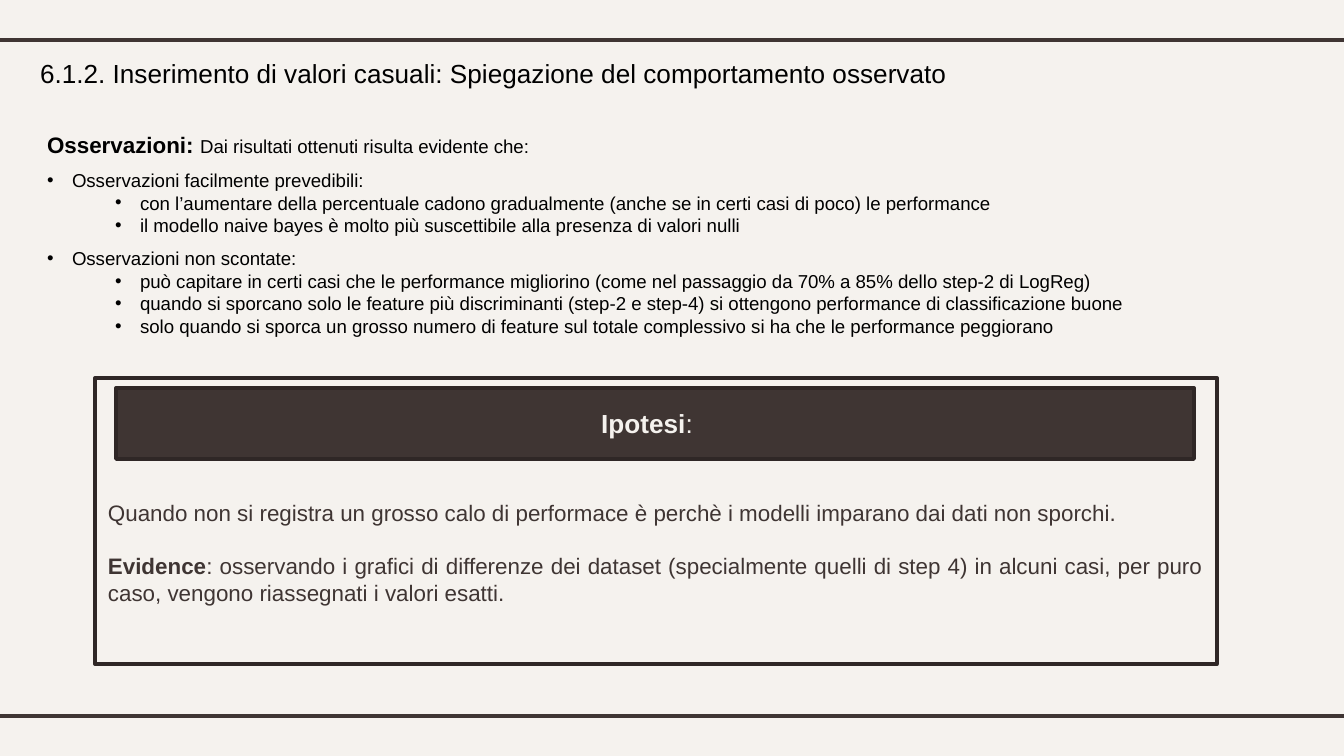
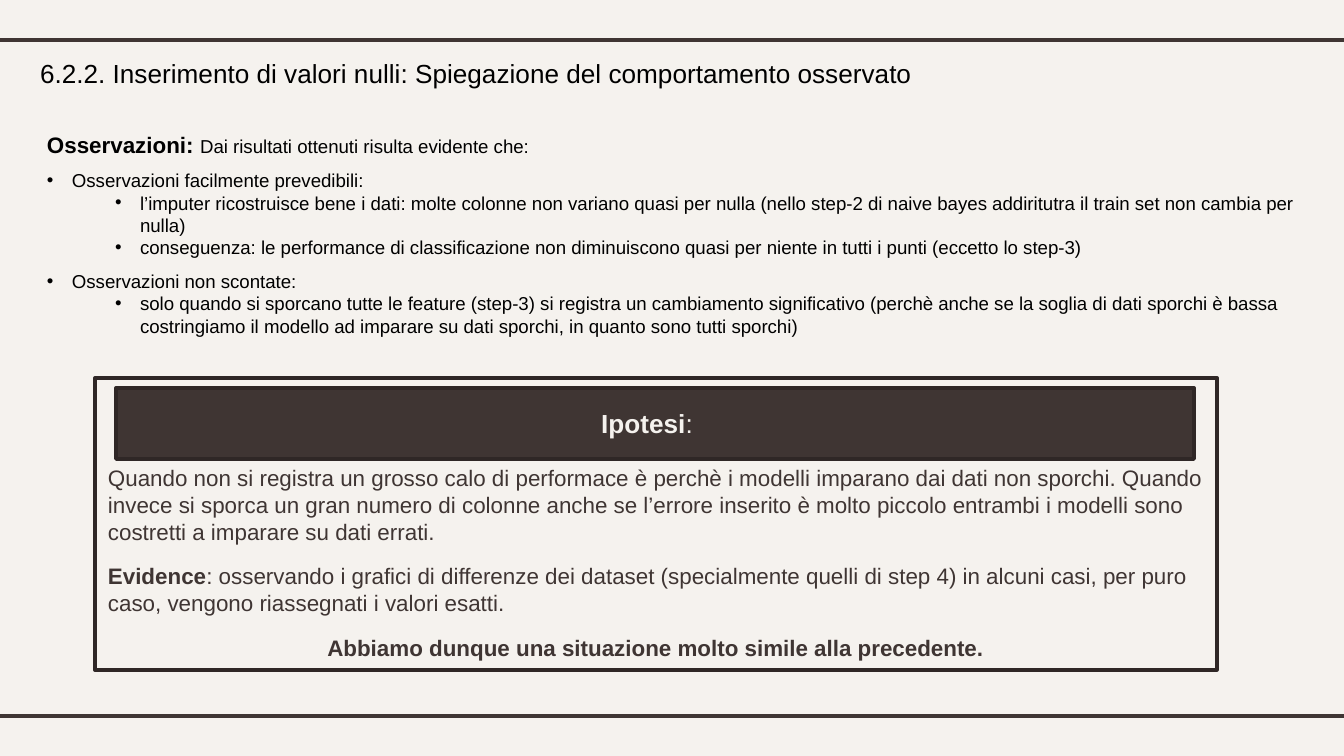
from dataclasses import dataclass

from lxml import etree
from pptx import Presentation
from pptx import util as u
from pptx.dml.color import RGBColor
from pptx.enum import shapes, text
from pptx.oxml import ns

PX_PER_INCH = 134.4
WIDTH, HEIGHT = 1344, 756
TITLE_ONLY = 5
ALIGN = text.PP_ALIGN
ANCHOR = text.MSO_ANCHOR


def px(length):
    return u.Emu(round(length * 914400 / PX_PER_INCH))


@dataclass(frozen=True)
class Theme:
    font: str = "Arial"
    paper: str = "F5F2EE"
    brown: str = "3F3533"
    border: str = "2F2726"
    ink: str = "000000"
    heading: int = 14
    body: int = 12
    small: int = 10
    leading: float = 1.2
    rule_width: float = 2.25
    border_width: float = 2


THEME = Theme()
INSET_X, INSET_Y = 13, 7
RULES = (40, 716)
FRAME_LEFT, FRAME_TOP, FRAME_WIDTH = 95, 378, 1122
BAND = (116, 388, 1078, 71)
BULLET_HANG = 25
BULLET_MARGINS = (25, 93)


def write(paragraph, content, *, lead="", lead_size=None, size=THEME.body, color=THEME.ink,
          bold=False, align=ALIGN.LEFT, before=0):
    """Fill a paragraph with an optional bold lead followed by the content."""
    lead_size = lead_size or size
    paragraph.alignment = align
    paragraph.space_before = u.Pt(before)
    paragraph.line_spacing = u.Pt(max(size, lead_size if lead else 0) * THEME.leading)
    for words, points, heavy in ((lead, lead_size, True), (content, size, bold)):
        if words:
            run = paragraph.add_run()
            run.text = words
            run.font.name = THEME.font
            run.font.size = u.Pt(points)
            run.font.bold = heavy
            run.font.color.rgb = RGBColor.from_string(color)


def add_bullet(paragraph, level):
    paragraph.level = level
    properties = paragraph._p.get_or_add_pPr()
    properties.set("marL", str(px(BULLET_MARGINS[level])))
    properties.set("indent", str(-px(BULLET_HANG)))
    etree.SubElement(properties, ns.qn("a:buFont")).set("typeface", THEME.font)
    etree.SubElement(properties, ns.qn("a:buChar")).set("char", "•")


def next_paragraph(frame, first):
    return frame.paragraphs[0] if first else frame.add_paragraph()


class Deck:
    def __init__(self, theme):
        self.theme = theme
        self.presentation = Presentation()
        self.presentation.slide_width = px(WIDTH)
        self.presentation.slide_height = px(HEIGHT)
        fill = self.presentation.slide_master.background.fill
        fill.solid()
        fill.fore_color.rgb = RGBColor.from_string(theme.paper)
        self.slide = None

    def start_slide(self, title, title_width):
        layout = self.presentation.slide_layouts[TITLE_ONLY]
        self.slide = self.presentation.slides.add_slide(layout)
        for y in RULES:
            self.rule(y)
        shape = self.slide.shapes.title
        shape.left, shape.top, shape.width, shape.height = map(px, (27, 50, title_width, 46))
        frame = self.prepare(shape, anchor=ANCHOR.MIDDLE)
        write(frame.paragraphs[0], title, size=self.theme.heading)

    def prepare(self, shape, *, anchor=ANCHOR.TOP, top=INSET_Y, right=INSET_X):
        frame = shape.text_frame
        frame.word_wrap = True
        frame.auto_size = text.MSO_AUTO_SIZE.NONE
        frame.vertical_anchor = anchor
        frame.margin_left, frame.margin_right = px(INSET_X), px(right)
        frame.margin_top, frame.margin_bottom = px(top), px(INSET_Y)
        return frame

    def rule(self, y):
        line = self.slide.shapes.add_connector(
            shapes.MSO_CONNECTOR.STRAIGHT, 0, px(y), px(WIDTH), px(y))
        line.line.color.rgb = RGBColor.from_string(self.theme.brown)
        line.line.width = u.Pt(self.theme.rule_width)
        etree.SubElement(line._element.spPr, ns.qn("a:effectLst"))

    def rectangle(self, box, fill=None):
        shape = self.slide.shapes.add_shape(shapes.MSO_SHAPE.RECTANGLE, *map(px, box))
        shape.shadow.inherit = False
        if fill:
            shape.fill.solid()
            shape.fill.fore_color.rgb = RGBColor.from_string(fill)
        else:
            shape.fill.background()
        shape.line.color.rgb = RGBColor.from_string(self.theme.border)
        shape.line.width = u.Pt(self.theme.border_width)
        return shape

    def observations(self, groups, width):
        box = self.slide.shapes.add_textbox(*map(px, (34, 124, width, 245)))
        frame = self.prepare(box)
        write(frame.paragraphs[0], "Dai risultati ottenuti risulta evidente che:",
              lead="Osservazioni: ", lead_size=self.theme.body, size=self.theme.small)
        for heading, points in groups.items():
            for level, content in [(0, heading)] + [(1, point) for point in points]:
                paragraph = frame.add_paragraph()
                add_bullet(paragraph, level)
                write(paragraph, content, size=self.theme.small, before=0 if level else 6)

    def hypothesis(self, statements, *, height, text_top, gap):
        """Draw the framed panel; each statement is a dict of write() arguments."""
        panel = self.rectangle((FRAME_LEFT, FRAME_TOP, FRAME_WIDTH, height))
        frame = self.prepare(panel, top=text_top)
        for index, statement in enumerate(statements):
            write(next_paragraph(frame, index == 0), color=self.theme.brown,
                  before=gap if index else 0, **statement)
        band = self.rectangle(BAND, self.theme.brown)
        frame = self.prepare(band, anchor=ANCHOR.MIDDLE, right=29)
        write(frame.paragraphs[0], ":", lead="Ipotesi", size=self.theme.heading,
              color=self.theme.paper, align=ALIGN.CENTER)


PREDICTABLE = "Osservazioni facilmente prevedibili:"
UNEXPECTED = "Osservazioni non scontate:"
CLEAN_DATA = ("Quando non si registra un grosso calo di performace è perchè i modelli "
              "imparano dai dati non sporchi.")
EVIDENCE = {
    "lead": "Evidence",
    "content": ": osservando i grafici di differenze dei dataset (specialmente quelli di step 4) "
               "in alcuni casi, per puro caso, vengono riassegnati i valori esatti.",
}


def main():
    deck = Deck(THEME)

    deck.start_slide(
        "6.1.2. Inserimento di valori casuali: Spiegazione del comportamento osservato", 1058)
    deck.observations({
        PREDICTABLE: [
            "con l’aumentare della percentuale cadono gradualmente (anche se in certi casi "
            "di poco) le performance",
            "il modello naive bayes è molto più suscettibile alla presenza di valori nulli",
        ],
        UNEXPECTED: [
            "può capitare in certi casi che le performance migliorino (come nel passaggio "
            "da 70% a 85% dello step-2 di LogReg)",
            "quando si sporcano solo le feature più discriminanti (step-2 e step-4) "
            "si ottengono performance di classificazione buone",
            "solo quando si sporca un grosso numero di feature sul totale complessivo "
            "si ha che le performance peggiorano",
        ],
    }, width=1243)
    deck.hypothesis([
        {"content": CLEAN_DATA, "align": ALIGN.JUSTIFY},
        {**EVIDENCE, "align": ALIGN.JUSTIFY},
    ], height=286, text_top=121, gap=14)

    deck.start_slide(
        "6.2.2. Inserimento di valori nulli: Spiegazione del comportamento osservato", 1021)
    deck.observations({
        PREDICTABLE: [
            "l’imputer ricostruisce bene i dati: molte colonne non variano quasi per nulla "
            "(nello step-2 di naive bayes addiritutra il train set non cambia per nulla)",
            "conseguenza: le performance di classificazione non diminuiscono quasi per niente "
            "in tutti i punti (eccetto lo step-3)",
        ],
        UNEXPECTED: [
            "solo quando si sporcano tutte le feature (step-3) si registra un cambiamento "
            "significativo (perchè anche se la soglia di dati sporchi è bassa costringiamo "
            "il modello ad imparare su dati sporchi, in quanto sono tutti sporchi)",
        ],
    }, width=1297)
    deck.hypothesis([
        {"content": CLEAN_DATA + " Quando invece si sporca un gran numero di colonne anche se "
                    "l’errore inserito è molto piccolo entrambi i modelli sono costretti "
                    "a imparare su dati errati."},
        EVIDENCE,
        {"content": "Abbiamo dunque una situazione molto simile alla precedente.",
         "bold": True, "align": ALIGN.CENTER},
    ], height=292, text_top=86, gap=9.5)

    deck.presentation.save("out.pptx")


if __name__ == "__main__":
    main()
